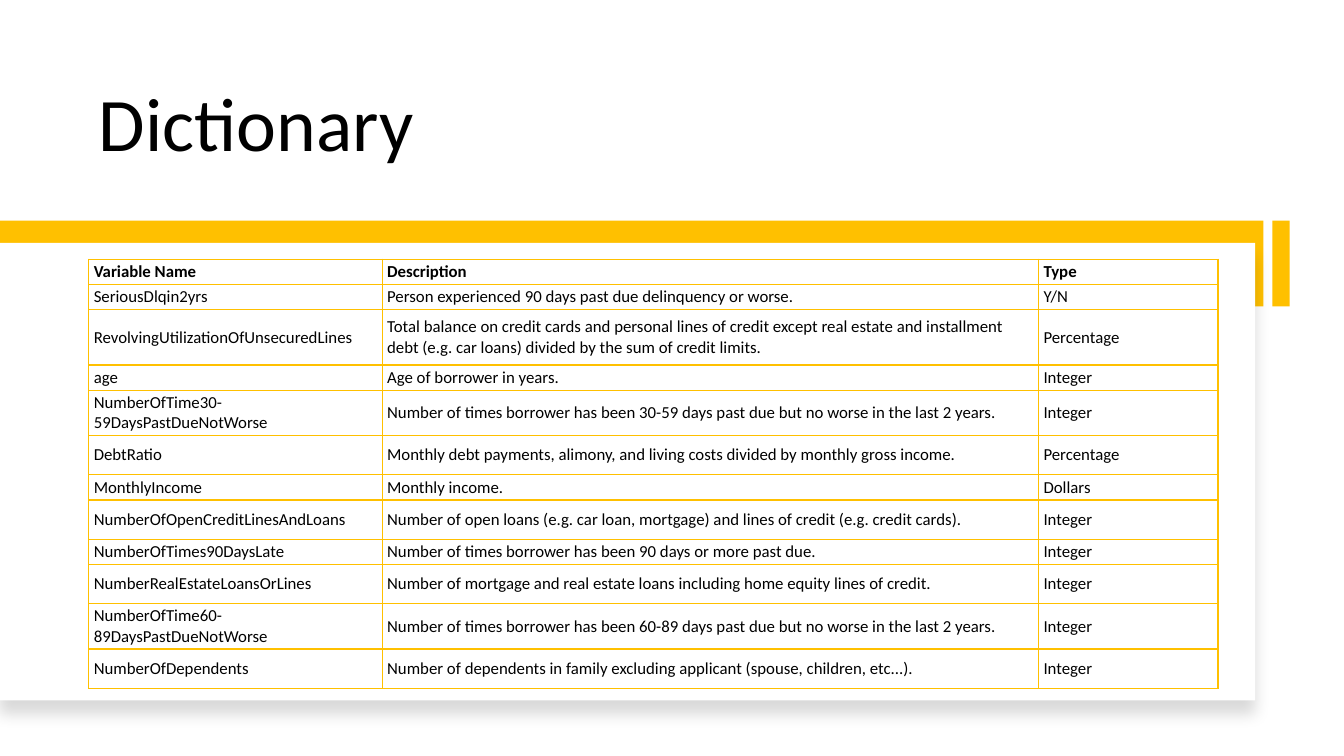
from dataclasses import dataclass
from typing import Any

from lxml import etree
from pptx import Presentation
from pptx import util as u
from pptx.dml.color import RGBColor
from pptx.enum import shapes, text
from pptx.oxml import parse_xml
from pptx.oxml.ns import nsdecls, qn

AMBER, WHITE, BLACK = "FFC000", "FFFFFF", "000000"
FONT = "Calibri"

prs = Presentation()
prs.slide_width, prs.slide_height = u.Inches(13.33), u.Inches(7.5)


def pct_w(share: float) -> int:
    return int(prs.slide_width * share / 100)


def pct_h(share: float) -> int:
    return int(prs.slide_height * share / 100)


@dataclass(frozen=True)
class Box:
    x: float
    y: float
    w: float
    h: float

    def emu(self) -> tuple[int, int, int, int]:
        return pct_w(self.x), pct_h(self.y), pct_w(self.w), pct_h(self.h)


@dataclass(frozen=True)
class Panel:
    box: Box
    fill: str
    rotation: float = 0


@dataclass(frozen=True)
class Variable:
    name: str
    description: str
    kind: str
    height: float


def color(value: str) -> RGBColor:
    return RGBColor.from_string(value)


def apply(target: Any, formats: dict[str, Any]) -> None:
    for key, value in formats.items():
        setattr(target, key, value)


def write(tf: Any, words: str, size: float, bold: bool = False, spacing: float = 1.0) -> None:
    p = tf.paragraphs[0]
    apply(p, {"alignment": text.PP_ALIGN.LEFT, "line_spacing": spacing})
    r = p.add_run()
    r.text = words
    apply(r.font, {"name": FONT, "size": u.Pt(size), "bold": bold})
    r.font.color.rgb = color(BLACK)


def draw_panel(parent: Any, panel: Panel) -> Any:
    sp = parent.add_shape(shapes.MSO_SHAPE.RECTANGLE, *panel.box.emu())
    sp.rotation = panel.rotation
    sp.shadow.inherit = False
    sp.fill.solid()
    sp.fill.fore_color.rgb = color(panel.fill)
    sp.line.fill.background()
    return sp


def cast_shadow(sp: Any, blur: float, distance: float, alpha: int) -> None:
    effects = sp._element.spPr.find(qn("a:effectLst"))
    effects.append(parse_xml(
        f'<a:outerShdw {nsdecls("a")} blurRad="{u.Pt(blur)}" dist="{u.Pt(distance)}" '
        f'dir="5400000" algn="t" rotWithShape="0"><a:srgbClr val="{BLACK}">'
        f'<a:alpha val="{alpha * 1000}"/></a:srgbClr></a:outerShdw>'))


def set_borders(cell: Any, value: str, width: float) -> None:
    tc_pr = cell._tc.get_or_add_tcPr()
    for i, side in enumerate(("lnL", "lnR", "lnT", "lnB")):
        ln = etree.Element(qn(f"a:{side}"), w=str(u.Pt(width)))
        fill = etree.SubElement(ln, qn("a:solidFill"))
        etree.SubElement(fill, qn("a:srgbClr"), val=value)
        tc_pr.insert(i, ln)


def draw_table(s: Any, x: float, y: float, columns: list[float], rows: list[Variable]) -> None:
    box = Box(x, y, sum(columns), sum(row.height for row in rows))
    table = s.shapes.add_table(len(rows), len(columns), *box.emu()).table
    apply(table, {"first_row": False, "horz_banding": False})
    for column, width in zip(table.columns, columns):
        column.width = pct_w(width)
    for i, row in enumerate(rows):
        table.rows[i].height = pct_h(row.height)
        for cell, words in zip(table.rows[i].cells, (row.name, row.description, row.kind)):
            apply(cell, CELL_FORMAT)
            write(cell.text_frame, words, 12, bold=i == 0)
            cell.fill.background()
            set_borders(cell, AMBER, 1)


CELL_FORMAT = {
    "vertical_anchor": text.MSO_ANCHOR.MIDDLE,
    "margin_left": u.Inches(0.05), "margin_right": u.Inches(0.05),
    "margin_top": u.Inches(0.02), "margin_bottom": u.Inches(0.02),
}
LINE, ROOMY, DOUBLE, TALL = 3.33, 5.2, 6.0, 7.33
TITLE_BOX = Box(6.6, 5.6, 75.77, 17.33)
ACCENTS = [
    Panel(Box(92.12, 33.73, 6.38, 2.27), AMBER, 90),
    Panel(Box(0, 29.2, 94, 11.33), AMBER),
]
CARD = Panel(Box(0, 32.13, 93.4, 60.53), WHITE)
COLUMNS = [21.83, 48.84, 13.35]
VARIABLES = [
    Variable("Variable Name", "Description", "Type", LINE),
    Variable("SeriousDlqin2yrs",
             "Person experienced 90 days past due delinquency or worse.", "Y/N", LINE),
    Variable("RevolvingUtilizationOfUnsecuredLines",
             "Total balance on credit cards and personal lines of credit except real estate and "
             "installment debt (e.g. car loans) divided by the sum of credit limits.",
             "Percentage", TALL),
    Variable("age", "Age of borrower in years.", "Integer", LINE),
    Variable("NumberOfTime30-59DaysPastDueNotWorse",
             "Number of times borrower has been 30-59 days past due but no worse "
             "in the last 2 years.", "Integer", DOUBLE),
    Variable("DebtRatio",
             "Monthly debt payments, alimony, and living costs divided by monthly gross income.",
             "Percentage", ROOMY),
    Variable("MonthlyIncome", "Monthly income.", "Dollars", LINE),
    Variable("NumberOfOpenCreditLinesAndLoans",
             "Number of open loans (e.g. car loan, mortgage) and lines of credit "
             "(e.g. credit cards).", "Integer", ROOMY),
    Variable("NumberOfTimes90DaysLate",
             "Number of times borrower has been 90 days or more past due.", "Integer", LINE),
    Variable("NumberRealEstateLoansOrLines",
             "Number of mortgage and real estate loans including home equity lines of credit.",
             "Integer", ROOMY),
    Variable("NumberOfTime60-89DaysPastDueNotWorse",
             "Number of times borrower has been 60-89 days past due but no worse "
             "in the last 2 years.", "Integer", DOUBLE),
    Variable("NumberOfDependents",
             "Number of dependents in family excluding applicant (spouse, children, etc...).",
             "Integer", ROOMY),
]

s = prs.slides.add_slide(prs.slide_layouts[5])
title = s.shapes.title
apply(title, dict(zip(("left", "top", "width", "height"), TITLE_BOX.emu())))
apply(title.text_frame, {"vertical_anchor": text.MSO_ANCHOR.BOTTOM, "word_wrap": True,
                         "auto_size": text.MSO_AUTO_SIZE.NONE})
write(title.text_frame, "Dictionary", 54, spacing=0.9)

accents = s.shapes.add_group_shape()
for accent in ACCENTS:
    draw_panel(accents.shapes, accent)
cast_shadow(draw_panel(s.shapes, CARD), blur=11, distance=10, alpha=15)
draw_table(s, 6.6, 34.3, COLUMNS, VARIABLES)

prs.save("out.pptx")
